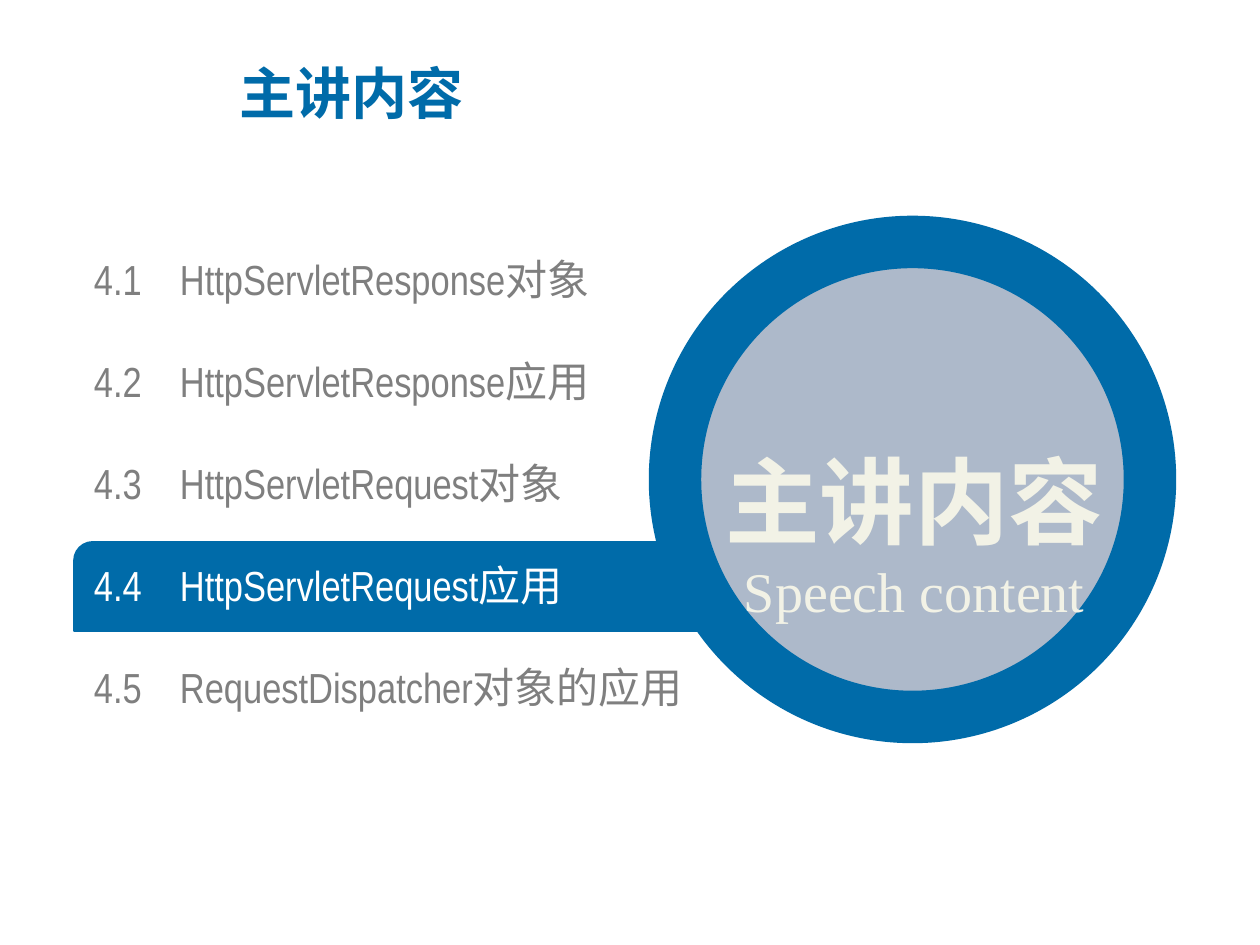
from typing import NamedTuple

from pptx import Presentation
from pptx.dml.color import RGBColor
from pptx.enum.shapes import MSO_SHAPE as Preset
from pptx.enum.text import MSO_ANCHOR as Anchor, MSO_AUTO_SIZE as AutoSize, PP_ALIGN as Align
from pptx.oxml.ns import qn
from pptx.util import Pt

PX = 914400 / 126
BLUE, GREY, WHITE, CREAM, PALE = "006BA9", "7F7F7F", "FFFFFF", "F2F2E6", "ADB9CA"
CJK = "Noto Sans CJK SC"


class Box(NamedTuple):
    left: int
    top: int
    width: int
    height: int

    def emu(self) -> list[int]:
        return [px(length) for length in self]


class Section(NamedTuple):
    number: str
    topic: str
    current: bool = False


SECTIONS = [
    Section("4.1", "HttpServletResponse对象"),
    Section("4.2", "HttpServletResponse应用"),
    Section("4.3", "HttpServletRequest对象"),
    Section("4.4", "HttpServletRequest应用", current=True),
    Section("4.5", "RequestDispatcher对象的应用"),
]
FIRST_TOP, PITCH, NUMBER_WIDTH = 254, 102, 86


def px(length: int) -> int:
    return round(length * PX)


def rgb(value: str) -> RGBColor:
    return RGBColor.from_string(value)


def write(paragraph, text: str, *, size: int, font: str, color: str, bold: bool = False,
          align=Align.LEFT, spacing: float = 1.0) -> None:
    paragraph.alignment = align
    paragraph.line_spacing = spacing
    run = paragraph.add_run()
    run.text = text
    run.font.size, run.font.bold, run.font.name = Pt(size), bold, font
    run.font.color.rgb = rgb(color)
    # East Asian characters use the CJK face
    east_asian = run.font._element.makeelement(qn("a:ea"), {"typeface": CJK})
    run.font._element.find(qn("a:latin")).addnext(east_asian)


def add_frame(slide, box: Box, inset: bool = True):
    frame = slide.shapes.add_textbox(*box.emu()).text_frame
    frame.word_wrap = True
    frame.vertical_anchor = Anchor.MIDDLE
    if not inset:
        frame.margin_left = frame.margin_right = frame.margin_top = frame.margin_bottom = 0
    return frame


def add_shape(slide, preset, box: Box, fill: str, line: str, line_width: int):
    shape = slide.shapes.add_shape(preset, *box.emu())
    shape.shadow.inherit = False
    shape.fill.solid()
    shape.fill.fore_color.rgb = rgb(fill)
    shape.line.color.rgb = rgb(line)
    shape.line.width = Pt(line_width)
    return shape


def add_section(slide, section: Section, top: int) -> None:
    paragraph = add_frame(slide, Box(94, top, 655, 50), inset=False).paragraphs[0]
    write(paragraph, f"{section.number}\t{section.topic}", size=24, font="Arial Narrow",
          color=WHITE if section.current else GREY)
    # Hanging indent lines the topics up after their numbers
    properties = paragraph._p.get_or_add_pPr()
    properties.set("marL", str(px(NUMBER_WIDTH)))
    properties.set("indent", str(-px(NUMBER_WIDTH)))


def main() -> None:
    deck = Presentation()
    deck.slide_width, deck.slide_height = px(1260), px(945)
    slide = deck.slides.add_slide(deck.slide_layouts[5])

    # Title
    title = slide.shapes.title
    title.left, title.top, title.width, title.height = Box(227, 54, 879, 77).emu()
    title.text_frame.auto_size = AutoSize.NONE
    title.text_frame.vertical_anchor = Anchor.MIDDLE
    write(title.text_frame.paragraphs[0], "主讲内容", size=32, font=CJK, color=BLUE, bold=True)

    # Banner behind the current section
    banner = add_shape(slide, Preset.ROUND_2_DIAG_RECTANGLE, Box(74, 542, 738, 89), BLUE, BLUE, 1)
    banner.adjustments[0], banner.adjustments[1] = 0.21, 0

    # Section list
    for row, section in enumerate(SECTIONS):
        add_section(slide, section, FIRST_TOP + row * PITCH)

    # Ring with its heading
    add_shape(slide, Preset.OVAL, Box(675, 242, 475, 475), PALE, BLUE, 30)
    heading = add_frame(slide, Box(669, 379, 491, 252))
    write(heading.paragraphs[0], "主讲内容", size=54, font=CJK, color=CREAM, bold=True,
          align=Align.CENTER, spacing=1.5)
    write(heading.add_paragraph(), "Speech content", size=32, font="Times New Roman",
          color=CREAM, align=Align.CENTER)

    deck.save("out.pptx")


if __name__ == "__main__":
    main()
